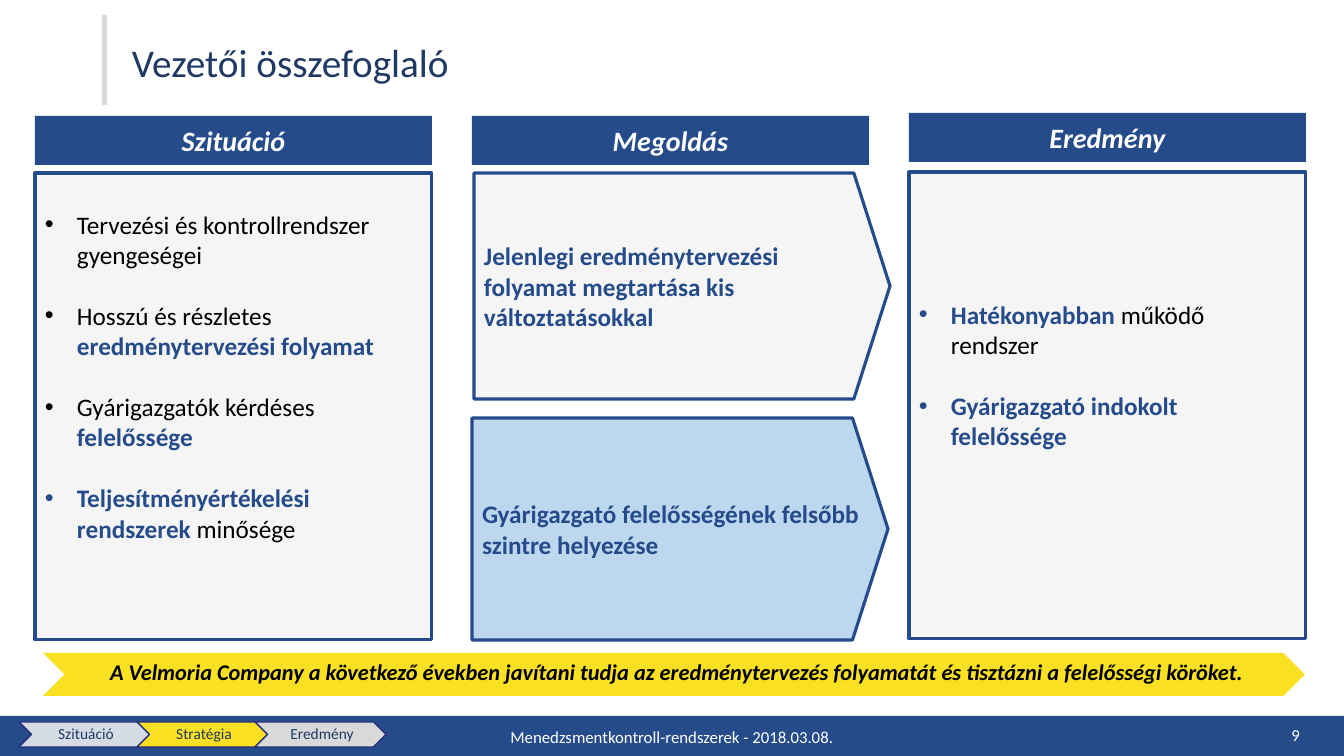
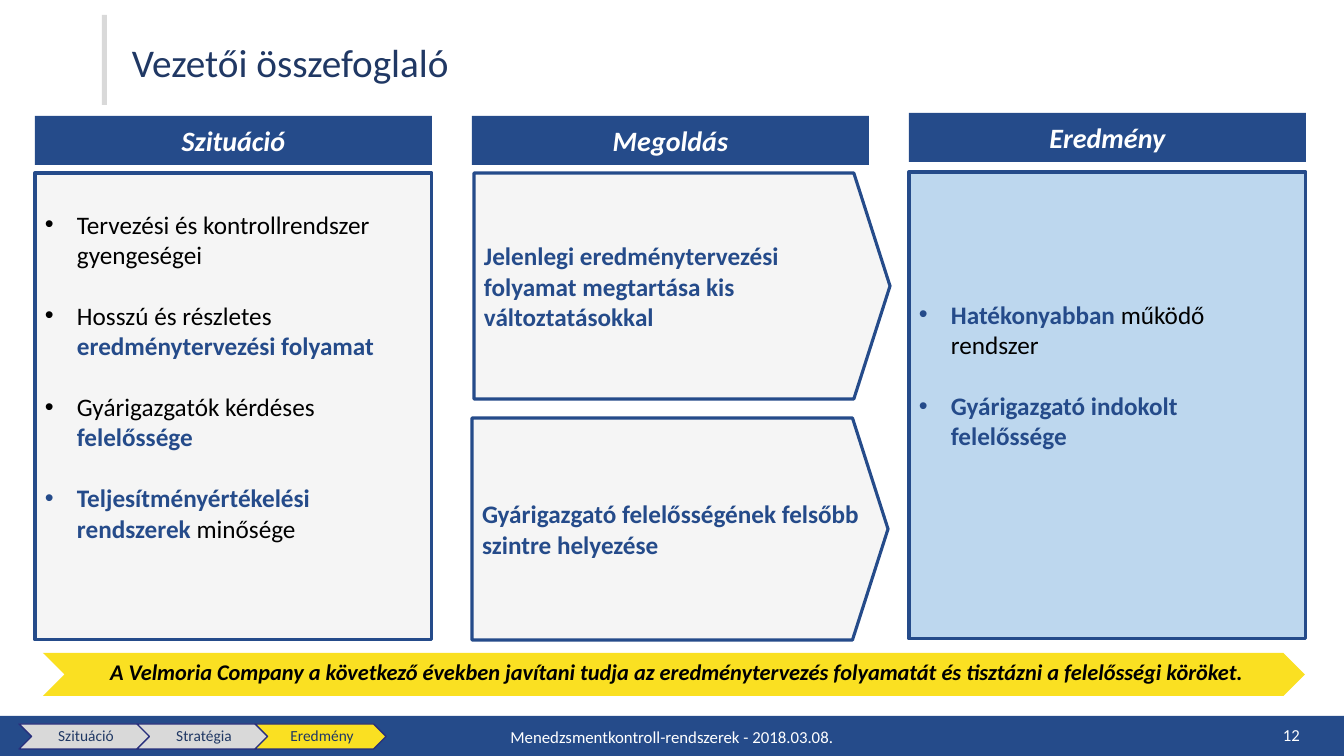
from lxml import etree
from pptx import Presentation
from pptx.dml.color import RGBColor
from pptx.enum.shapes import MSO_SHAPE
from pptx.enum.text import MSO_ANCHOR, PP_ALIGN
from pptx.oxml.ns import qn
from pptx.util import Pt

RECTANGLE, CHEVRON, PENTAGON = MSO_SHAPE.RECTANGLE, MSO_SHAPE.CHEVRON, MSO_SHAPE.PENTAGON
LEFT, CENTER, RIGHT = PP_ALIGN.LEFT, PP_ALIGN.CENTER, PP_ALIGN.RIGHT
MIDDLE = MSO_ANCHOR.MIDDLE

WHITE = RGBColor(0xFF, 0xFF, 0xFF)
BLACK = RGBColor(0x00, 0x00, 0x00)
BLUE = RGBColor(0x25, 0x4B, 0x8A)
NAVY = RGBColor(0x20, 0x38, 0x64)
INDIGO = RGBColor(0x28, 0x2F, 0x7C)
YELLOW = RGBColor(0xFA, 0xE0, 0x22)
PANEL_GRAY = RGBColor(0xF5, 0xF5, 0xF5)
STEP_GRAY = RGBColor(0xD9, 0xD9, 0xD9)
STEP_BLUE = RGBColor(0xD6, 0xDC, 0xE5)
HIGHLIGHT = RGBColor(0xBD, 0xD7, 0xEE)

WIDTH, HEIGHT = 1344, 756
EMU_PER_PX = 12192000 / WIDTH
FONT = "Calibri"
INSETS = (10, 5, 10, 5)
PANEL_INSETS = (10, 5, 10, 66)
BULLET_INDENT = 32
COLUMN_WIDTH, PANEL_HEIGHT = 397, 467
STEP_PITCH = 118

# Text in *asterisks* is emphasised
SITUATION = [
    "Tervezési és kontrollrendszer gyengeségei",
    "Hosszú és részletes *eredménytervezési folyamat*",
    "Gyárigazgatók kérdéses *felelőssége*",
    "*Teljesítményértékelési rendszerek* minősége",
]
RESULT = [
    "*Hatékonyabban* működő rendszer",
    "*Gyárigazgató indokolt felelőssége*",
]
HEADERS = [(35, 116, "Szituáció"), (472, 116, "Megoldás"), (909, 113, "Eredmény")]
STEPS = ["Szituáció", "Stratégia", "Eredmény"]
CONCLUSION = ("A Velmoria Company a következő években javítani tudja az eredménytervezés "
              "folyamatát és tisztázni a felelősségi köröket.")


def px(length):
    return round(length * EMU_PER_PX)


class Deck:
    def __init__(self):
        self.presentation = Presentation()
        self.presentation.slide_width = px(WIDTH)
        self.presentation.slide_height = px(HEIGHT)
        self.slide = None

    def add_slide(self, title, page):
        """Start a slide with the shared band, title and footer."""
        self.slide = self.presentation.slides.add_slide(self.presentation.slide_layouts[6])
        self.shape(RECTANGLE, (0, 716, WIDTH, 40), BLUE)
        self.shape(RECTANGLE, (102, 15, 5, 90), STEP_GRAY)
        self.text_box((122, 20, 1176, 90), title, 28, NAVY, LEFT)
        self.text_box((387, 717, 570, 40), "Menedzsmentkontroll-rendszerek - 2018.03.08.",
                      12, WHITE, CENTER)
        self.text_box((1008, 715, 302, 40), page, 12, WHITE, RIGHT)

    def shape(self, kind, box, fill, line=None, line_width=2.25):
        shape = self.slide.shapes.add_shape(kind, *map(px, box))
        shape.shadow.inherit = False
        shape.fill.solid()
        shape.fill.fore_color.rgb = fill
        if line is None:
            shape.line.fill.background()
        else:
            shape.line.color.rgb = line
            shape.line.width = Pt(line_width)
        return shape

    def frame(self, shape, insets=INSETS):
        frame = shape.text_frame
        frame.word_wrap = True
        frame.vertical_anchor = MIDDLE
        (frame.margin_left, frame.margin_top,
         frame.margin_right, frame.margin_bottom) = map(px, insets)
        return frame

    def label(self, shape, text, size, color, align, bold=False, italic=False, insets=INSETS):
        paragraph = self.frame(shape, insets).paragraphs[0]
        paragraph.text = text
        paragraph.alignment = align
        paragraph.line_spacing = 0.9 if color == NAVY else 1.0
        font = paragraph.font
        font.name, font.size, font.bold, font.italic = FONT, Pt(size), bold, italic
        font.color.rgb = color

    def text_box(self, box, text, size, color, align):
        shape = self.slide.shapes.add_textbox(*map(px, box))
        self.label(shape, text, size, color, align)

    def header(self, left, top, text):
        shape = self.shape(RECTANGLE, (left, top, COLUMN_WIDTH, 49), BLUE)
        self.label(shape, text, 20, WHITE, CENTER, True, True, (0, 0, 0, 0))

    def bullet_panel(self, left, top, items, fill):
        shape = self.shape(RECTANGLE, (left, top, COLUMN_WIDTH, PANEL_HEIGHT), fill, BLUE)
        frame = self.frame(shape, PANEL_INSETS)
        for index, item in enumerate(items):
            paragraph = frame.paragraphs[0] if index == 0 else frame.add_paragraph()
            paragraph.alignment = LEFT
            paragraph.space_before = Pt(22 if index else 0)
            properties = paragraph._p.get_or_add_pPr()
            properties.set("marL", str(px(BULLET_INDENT)))
            properties.set("indent", str(-px(BULLET_INDENT)))
            etree.SubElement(properties, qn("a:buFont"), typeface="Arial")
            etree.SubElement(properties, qn("a:buChar"), char="•")
            paragraph.font.name, paragraph.font.size = FONT, Pt(18)
            for position, part in enumerate(item.split("*")):
                if part:
                    emphasised = position % 2 == 1
                    run = paragraph.add_run()
                    run.text = part
                    run.font.bold = emphasised
                    run.font.color.rgb = BLUE if emphasised else BLACK

    def solution(self, box, text, fill):
        shape = self.shape(PENTAGON, box, fill, BLUE)
        shape.adjustments[0] = 0.16
        self.label(shape, text, 18, BLUE, LEFT, True)

    def conclusion(self, text):
        shape = self.shape(CHEVRON, (43, 653, 1262, 43), YELLOW)
        self.label(shape, text, 16, BLACK, CENTER, True, True, (6, 0, 0, 6))

    def progress(self, top, fills):
        for index, (step, fill) in enumerate(zip(STEPS, fills)):
            shape = self.shape(CHEVRON, (19 + index * STEP_PITCH, top, 131, 25), fill, INDIGO, 1)
            self.label(shape, step, 11, NAVY, CENTER, insets=(5, 2, 2, 2))


def add_summary(deck, page, solution_fill, result_fill, step_top, step_fills):
    deck.add_slide("Vezetői összefoglaló", page)
    for header in HEADERS:
        deck.header(*header)
    deck.bullet_panel(35, 173, SITUATION, PANEL_GRAY)
    deck.bullet_panel(909, 172, RESULT, result_fill)
    deck.solution((474, 173, 416, 226),
                  "Jelenlegi eredménytervezési folyamat megtartása kis változtatásokkal", PANEL_GRAY)
    deck.solution((472, 418, 416, 222),
                  "Gyárigazgató felelősségének felsőbb szintre helyezése", solution_fill)
    deck.conclusion(CONCLUSION)
    deck.progress(step_top, step_fills)


def main():
    deck = Deck()
    # Strategy step: second solution highlighted
    add_summary(deck, "9", HIGHLIGHT, PANEL_GRAY, 722, (STEP_BLUE, YELLOW, STEP_GRAY))
    # Result step: result panel highlighted
    add_summary(deck, "12", PANEL_GRAY, HIGHLIGHT, 724, (STEP_GRAY, STEP_GRAY, YELLOW))
    deck.presentation.save("out.pptx")


if __name__ == "__main__":
    main()
